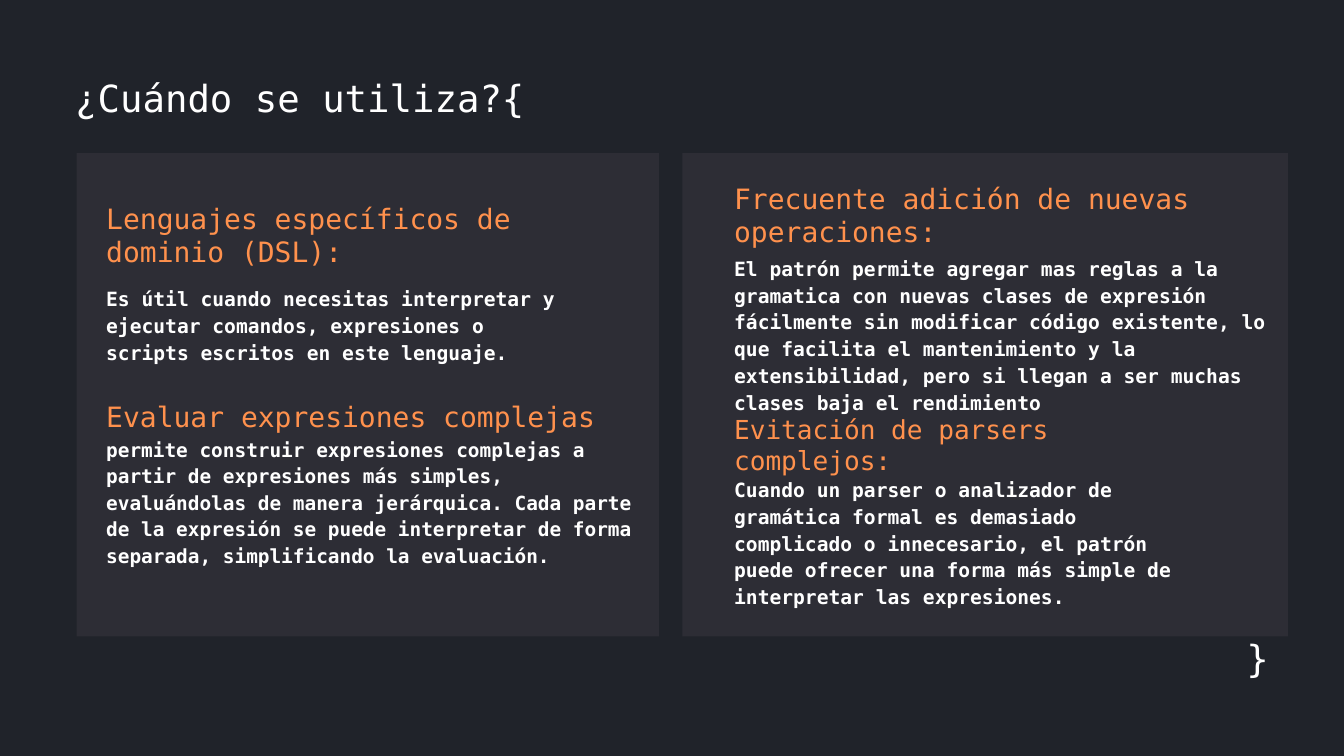
from dataclasses import dataclass

from pptx import Presentation
from pptx.dml.color import RGBColor
from pptx.enum.shapes import MSO_SHAPE
from pptx.enum.text import MSO_ANCHOR, MSO_AUTO_SIZE, PP_ALIGN
from pptx.util import Pt


@dataclass(frozen=True)
class Style:
    size: float
    leading: float
    color: str
    bold: bool = False


@dataclass(frozen=True)
class Theme:
    font: str = "DejaVu Sans Mono"
    background: str = "20232A"
    panel: str = "2D2D35"
    title: Style = Style(40, 45.6, "FFFFFF")
    heading: Style = Style(30, 35.7, "FF914D")
    small_heading: Style = Style(28, 33.3, "FF914D")
    body: Style = Style(21, 28.8, "FFFFFF", True)
    small_body: Style = Style(20.8, 28.4, "FFFFFF", True)


THEME = Theme()
PAGE_WIDTH, PAGE_HEIGHT = 1440, 810
PANEL_TOP, PANEL_HEIGHT = 164, 518

TITLE = "¿Cuándo se utiliza?{"
CLOSING_BRACE = "}"

PANELS = [
    {
        "left": 82, "width": 624, "text_left": 113.8,
        "texts": [
            ("Lenguajes específicos de dominio (DSL):",
             THEME.heading, 216, 493, 70.6),
            ("Es útil cuando necesitas interpretar y ejecutar comandos, "
             "expresiones o scripts escritos en este lenguaje.",
             THEME.body, 303.8, 493, 85),
            ("Evaluar expresiones complejas",
             THEME.heading, 428.4, 538.6, 35.3),
            ("permite construir expresiones complejas a partir de expresiones "
             "más simples, evaluándolas de manera jerárquica. Cada parte de la "
             "expresión se puede interpretar de forma separada, simplificando "
             "la evaluación.",
             THEME.small_body, 465.8, 570.2, 140.4),
        ],
    },
    {
        "left": 731, "width": 649, "text_left": 786.6,
        "texts": [
            ("Frecuente adición de nuevas operaciones:",
             THEME.heading, 194.4, 548, 70.6),
            ("El patrón permite agregar mas reglas a la gramatica con nuevas "
             "clases de expresión fácilmente sin modificar código existente, "
             "lo que facilita el mantenimiento y la extensibilidad, pero si "
             "llegan a ser muchas clases baja el rendimiento",
             THEME.body, 271.4, 585.4, 170.6),
            ("Evitación de parsers complejos:",
             THEME.small_heading, 442.8, 487.4, 67),
            ("Cuando un parser o analizador de gramática formal es demasiado "
             "complicado o innecesario, el patrón puede ofrecer una forma más "
             "simple de interpretar las expresiones.",
             THEME.body, 508.3, 493, 141.8),
        ],
    },
]


def place(shape, left, top, width, height):
    shape.left, shape.top = Pt(left), Pt(top)
    shape.width, shape.height = Pt(width), Pt(height)


def write(box, text, *, style, align=PP_ALIGN.LEFT):
    frame = box.text_frame
    frame.word_wrap = True
    frame.auto_size = MSO_AUTO_SIZE.NONE
    frame.vertical_anchor = MSO_ANCHOR.TOP
    frame.margin_left = frame.margin_right = 0
    frame.margin_top = frame.margin_bottom = 0
    para = frame.paragraphs[0]
    para.alignment = align
    para.line_spacing = Pt(style.leading)
    para.space_before = para.space_after = Pt(0)
    span = para.add_run()
    span.text = text
    span.font.name = THEME.font
    span.font.size = Pt(style.size)
    span.font.bold = style.bold
    span.font.color.rgb = RGBColor.from_string(style.color)


def add_text(page, text, left, top, width, height, **options):
    box = page.shapes.add_textbox(Pt(left), Pt(top), Pt(width), Pt(height))
    write(box, text, **options)


def add_panel(page, panel):
    card = page.shapes.add_shape(
        MSO_SHAPE.RECTANGLE, Pt(panel["left"]), Pt(PANEL_TOP),
        Pt(panel["width"]), Pt(PANEL_HEIGHT))
    card.shadow.inherit = False
    card.fill.solid()
    card.fill.fore_color.rgb = RGBColor.from_string(THEME.panel)
    card.line.fill.background()
    for text, style, top, width, height in panel["texts"]:
        add_text(page, text, panel["text_left"], top, width, height, style=style)


def main():
    deck = Presentation()
    deck.slide_width, deck.slide_height = Pt(PAGE_WIDTH), Pt(PAGE_HEIGHT)
    page = deck.slides.add_slide(deck.slide_layouts.get_by_name("Title Only"))
    page.background.fill.solid()
    page.background.fill.fore_color.rgb = RGBColor.from_string(THEME.background)

    title = page.shapes.title
    place(title, 80.6, 82.8, 553.7, 46)
    write(title, TITLE, style=THEME.title)
    for panel in PANELS:
        add_panel(page, panel)
    add_text(page, CLOSING_BRACE, 1304, 683.3, 55.4, 46,
             style=THEME.title, align=PP_ALIGN.RIGHT)
    deck.save("out.pptx")


if __name__ == "__main__":
    main()
